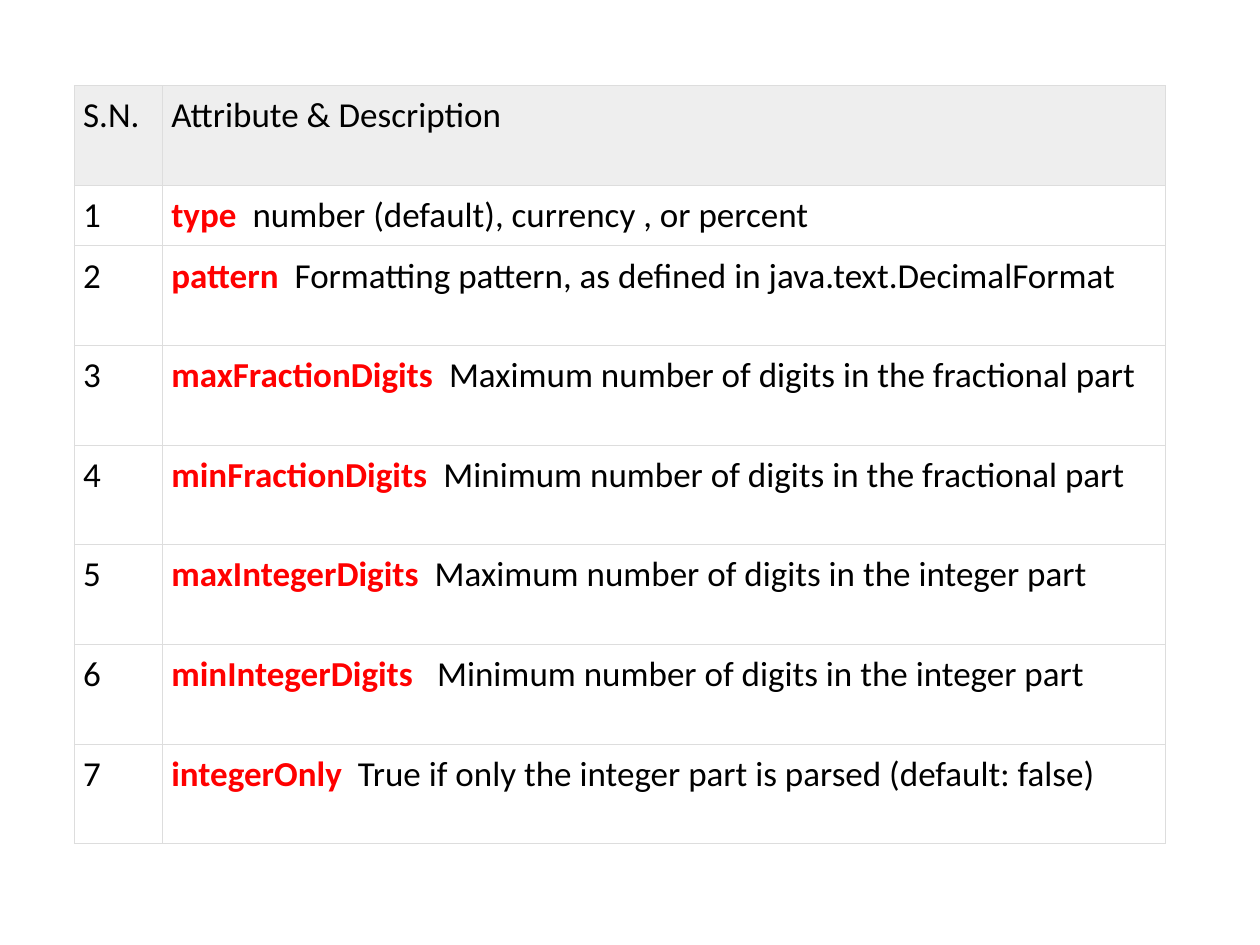
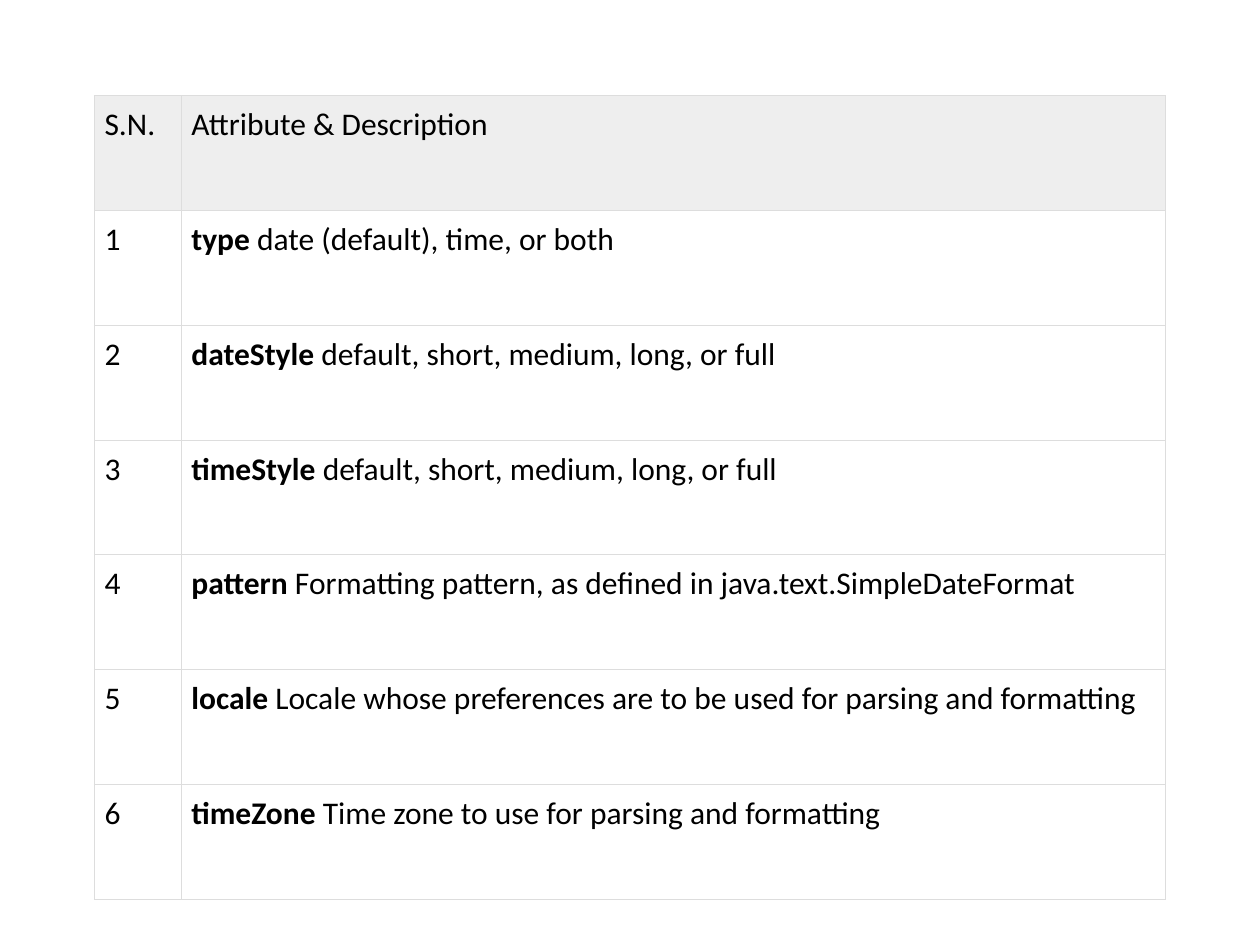
from dataclasses import dataclass

from lxml.etree import SubElement
from pptx import Presentation
from pptx.dml.color import RGBColor as RGB
from pptx.enum.text import PP_ALIGN as ALIGN
from pptx.oxml.ns import qn
from pptx.util import Inches, Pt


@dataclass(frozen=True)
class Theme:
    font: str = "Calibri"
    ink: RGB = RGB(0x00, 0x00, 0x00)
    accent: RGB = RGB(0xFF, 0x00, 0x00)
    header: RGB = RGB(0xEE, 0xEE, 0xEE)
    rule: str = "DDDDDD"
    rule_width: float = 0.75
    large: int = 20
    medium: int = 18
    space_share: float = 0.23  # width of a space as a share of the type size


T = Theme()
HEADINGS = ("S.N.", "Attribute & Description")

# Each attribute: name, gap after it in space widths, description
NUMBER_ATTRIBUTES = [
    ("type", 2, "number (default), currency , or percent"),
    ("pattern", 2, "Formatting pattern, as defined in java.text.DecimalFormat"),
    ("maxFractionDigits", 2, "Maximum number of digits in the fractional part"),
    ("minFractionDigits", 2, "Minimum number of digits in the fractional part"),
    ("maxIntegerDigits", 2, "Maximum number of digits in the integer part"),
    ("minIntegerDigits", 3, "Minimum number of digits in the integer part"),
    ("integerOnly", 2, "True if only the integer part is parsed (default: false)"),
]
DATE_ATTRIBUTES = [
    ("type", 1, "date (default), time, or both"),
    ("dateStyle", 1, "default, short, medium, long, or full"),
    ("timeStyle", 1, "default, short, medium, long, or full"),
    ("pattern", 1, "Formatting pattern, as defined in java.text.SimpleDateFormat"),
    ("locale", 1, "Locale whose preferences are to be used for parsing and formatting"),
    ("timeZone", 1, "Time zone to use for parsing and formatting"),
]

# Positions and sizes are in hundredths of the slide's width and height
TABLES = [
    dict(attributes=NUMBER_ATTRIBUTES, left=5.9, top=9.07, cols=(7, 79.6),
         rows=[10.55, 6.4] + [10.55] * 6, inset=0.07, size=T.large, term=T.accent),
    dict(attributes=DATE_ATTRIBUTES, left=7.5, top=10.13, cols=(6.9, 78.1),
         rows=[12.15] * 7, inset=0.08, size=T.medium, term=T.ink),
]


def style_cell(cell, inset, is_header):
    """Set margins, fill and the four borders of a cell."""
    cell.margin_left = cell.margin_right = Inches(inset)
    cell.margin_top = cell.margin_bottom = Inches(inset)
    tc_pr = cell._tc.get_or_add_tcPr()
    for side in ("lnL", "lnR", "lnT", "lnB"):
        ln = SubElement(tc_pr, qn(f"a:{side}"), w=str(Pt(T.rule_width)))
        SubElement(SubElement(ln, qn("a:solidFill")), qn("a:srgbClr"), val=T.rule)
    if is_header:
        cell.fill.solid()
        cell.fill.fore_color.rgb = T.header
    else:
        cell.fill.background()


def style_paragraph(p, size):
    p.font.name = T.font
    p.font.size = Pt(size)
    p.font.color.rgb = T.ink


prs = Presentation()
prs.slide_width, prs.slide_height = Inches(10), Inches(7.5)
COL, ROW = prs.slide_width / 100, prs.slide_height / 100

for spec in TABLES:
    s = prs.slides.add_slide(prs.slide_layouts[6])
    cols, rows, size = spec["cols"], spec["rows"], spec["size"]
    table = s.shapes.add_table(
        len(rows), len(cols), int(spec["left"] * COL), int(spec["top"] * ROW),
        int(sum(cols) * COL), int(sum(rows) * ROW)).table
    table.first_row = table.horz_banding = False
    for column, width in zip(table.columns, cols):
        column.width = int(width * COL)
    for row, height in zip(table.rows, rows):
        row.height = int(height * ROW)

    for i, row in enumerate(table.rows):
        for cell in row.cells:
            style_cell(cell, spec["inset"], is_header=i == 0)
        number, detail = (cell.text_frame.paragraphs[0] for cell in row.cells)
        if i == 0:
            number.text, detail.text = HEADINGS
        else:
            term, gap, description = spec["attributes"][i - 1]
            number.text = str(i)
            detail.alignment = ALIGN.JUSTIFY
            for text in (term, " ", description):
                r = detail.add_run()
                r.text = text
                if text == term:
                    r.font.bold = True
                    r.font.color.rgb = spec["term"]
                elif text == " " and gap > 1:
                    extra = (gap - 1) * T.space_share * size
                    r.font._element.set("spc", str(round(extra * 100)))
        for p in (number, detail):
            style_paragraph(p, size)

prs.save("out.pptx")
